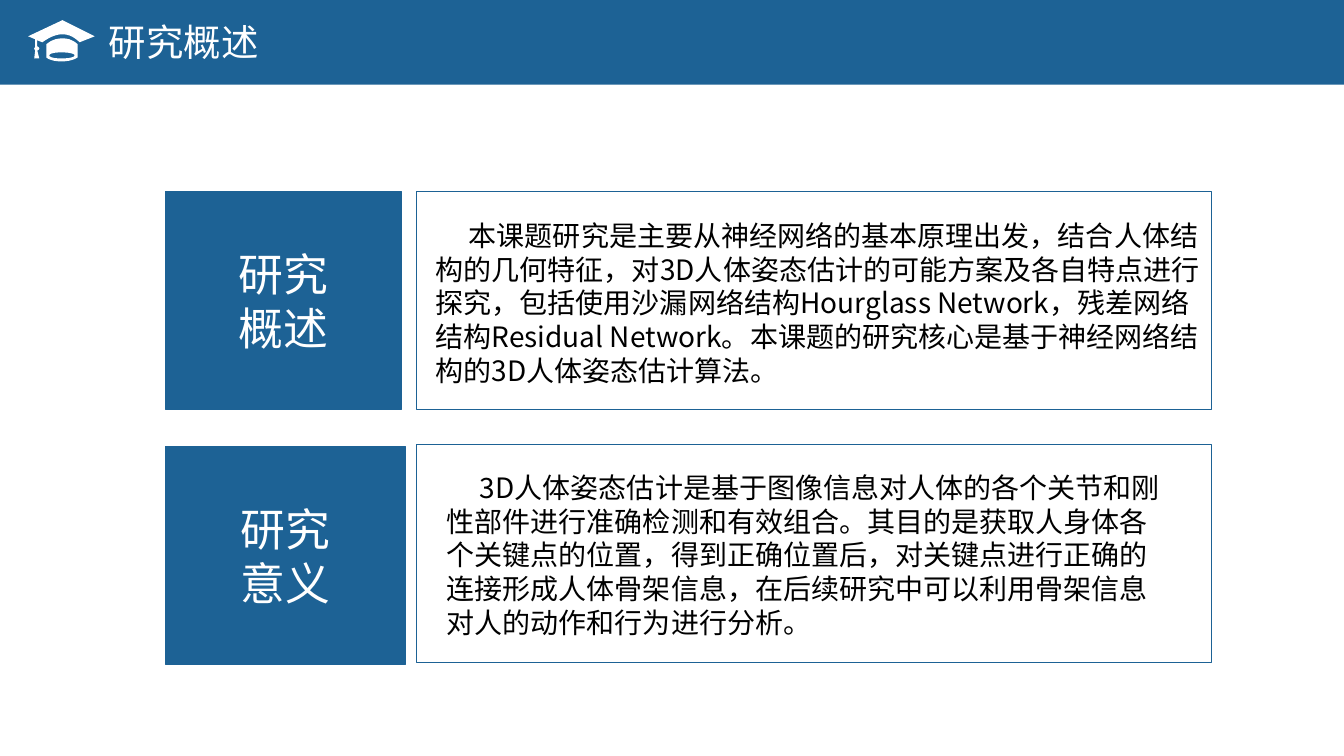
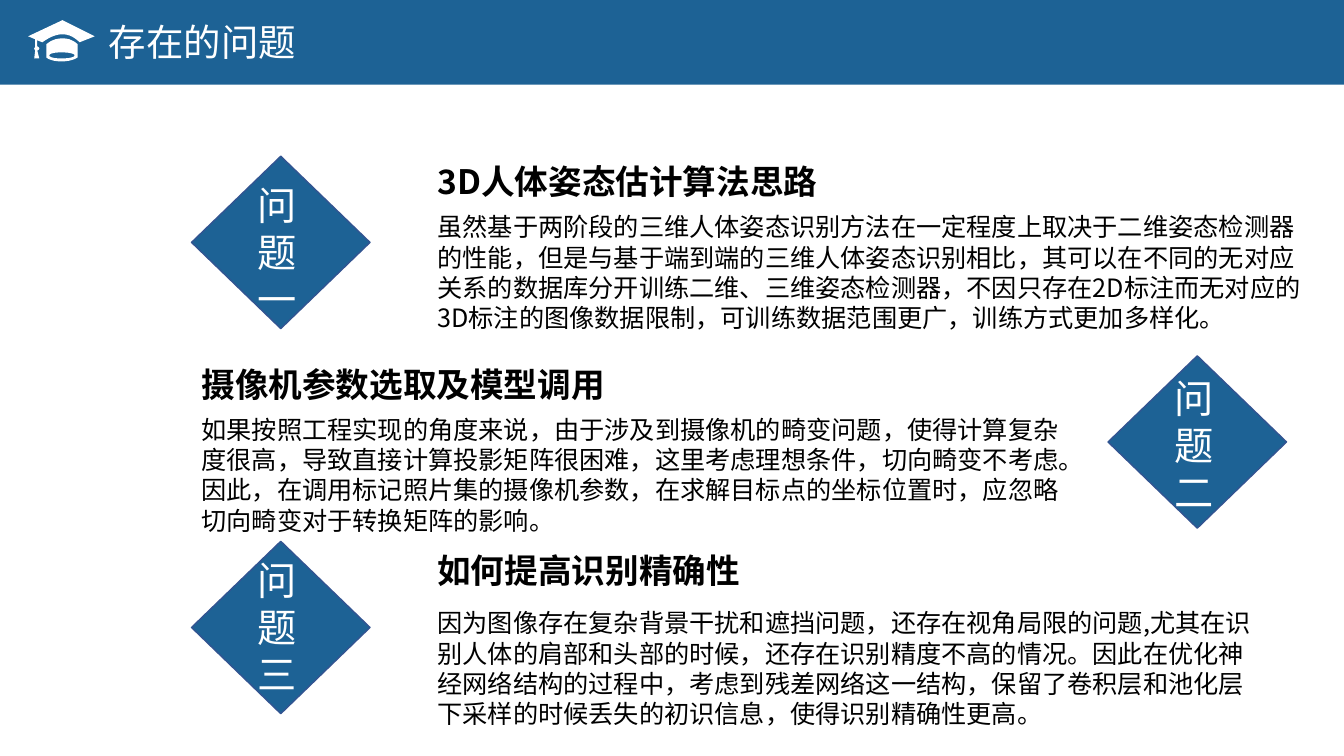
from lxml import etree
from pptx import Presentation
from pptx.dml.color import RGBColor
from pptx.enum.shapes import MSO_SHAPE as Preset
from pptx.enum.text import MSO_ANCHOR as Anchor, MSO_AUTO_SIZE as AutoSize, PP_ALIGN as Align
from pptx.oxml.ns import qn
from pptx.util import Inches, Pt

CELL = Inches(0.1)
COLUMNS, ROWS = 133.3, 75
BLUE, EDGE, WHITE, BLACK = "1D6295", "325491", "FFFFFF", "000000"
FONT = "Noto Sans CJK SC"
LINE_HEIGHT = 1.2
TWO_CONTENT, TITLE_ONLY = 3, 5

CAP_UNIT = Inches(0.001)
CAP_OUTLINES = [
    [(790, 420), (790, 420, 720, 340, 620, 340), (520, 340, 420, 420, 420, 420),
     (370, 400), (370, 460), (370, 460, 390, 470, 390, 480),
     (390, 490, 380, 500, 370, 500), (390, 580), (340, 580), (350, 500),
     (350, 500, 340, 490, 340, 480), (340, 480, 350, 470, 350, 460),
     (350, 390), (280, 360), (620, 200), (940, 360)],
    [(620, 380), (720, 380, 770, 440, 770, 440), (770, 570),
     (770, 570, 720, 610, 610, 610), (500, 610, 460, 570, 460, 570),
     (460, 440), (460, 440, 520, 380, 620, 380)],
    [(610, 580), (680, 580, 740, 570, 740, 550), (740, 530, 680, 520, 610, 520),
     (540, 520, 490, 530, 490, 550), (490, 570, 540, 580, 610, 580)],
]

PANELS = [
    dict(tile=(16.4, 19, 23.4, 21.6), frame=(41.3, 19, 78.9, 21.6),
         body=(42.2, 21.2, 78, 22.9), name="研究\n概述",
         text="本课题研究是主要从神经网络的基本原理出发，结合人体结构的几何特征，"
              "对3D人体姿态估计的可能方案及各自特点进行探究，包括使用沙漏网络结构"
              "Hourglass Network，残差网络结构Residual Network。"
              "本课题的研究核心是基于神经网络结构的3D人体姿态估计算法。"),
    dict(tile=(16.4, 44.3, 23.8, 21.6), frame=(41.3, 44.1, 78.9, 21.6),
         body=(43.3, 46.2, 73.9, 17.8), name="研究\n意义",
         text="3D人体姿态估计是基于图像信息对人体的各个关节和刚性部件进行准确检测和有效组合。"
              "其目的是获取人身体各个关键点的位置，得到正确位置后，对关键点进行正确的连接"
              "形成人体骨架信息，在后续研究中可以利用骨架信息对人的动作和行为进行分析。"),
]

PROBLEMS = [
    dict(diamond=(19, 15.5), label_row=17.5, label="问题 一",
         heading=(42.4, 15.5), title="3D人体姿态估计算法思路", body_row=20.5, width=88.7,
         text="虽然基于两阶段的三维人体姿态识别方法在一定程度上取决于二维姿态检测器的性能，"
              "但是与基于端到端的三维人体姿态识别相比，其可以在不同的无对应关系的数据库"
              "分开训练二维、三维姿态检测器，不因只存在2D标注而无对应的3D标注的图像数据限制，"
              "可训练数据范围更广，训练方式更加多样化。"),
    dict(diamond=(109.9, 35.3), label_row=36.6, label="问题 二",
         heading=(19, 35.6), title="摄像机参数选取及模型调用", body_row=40.6, width=87.7,
         text="如果按照工程实现的角度来说，由于涉及到摄像机的畸变问题，使得计算复杂度很高，"
              "导致直接计算投影矩阵很困难，这里考虑理想条件，切向畸变不考虑。"
              "因此，在调用标记照片集的摄像机参数，在求解目标点的坐标位置时，"
              "应忽略切向畸变对于转换矩阵的影响。"),
    dict(diamond=(19, 53.7), label_row=54.7, label="问题 三",
         heading=(42.4, 54.1), title="如何提高识别精确性", body_row=59.8, width=83.7,
         text="因为图像存在复杂背景干扰和遮挡问题，还存在视角局限的问题,"
              "尤其在识别人体的肩部和头部的时候，还存在识别精度不高的情况。"
              "因此在优化神经网络结构的过程中，考虑到残差网络这一结构，"
              "保留了卷积层和池化层下采样的时候丢失的初识信息，使得识别精确性更高。"),
]


def color(value):
    return RGBColor.from_string(value)


def cells(*counts):
    return [round(count * CELL) for count in counts]


def flatten(outline, steps=8):
    points = [outline[0]]
    for part in outline[1:]:
        if len(part) == 2:
            points.append(part)
            continue
        controls = [points[-1], part[:2], part[2:4], part[4:]]
        for step in range(1, steps + 1):
            t = step / steps
            weights = ((1 - t) ** 3, 3 * t * (1 - t) ** 2, 3 * t ** 2 * (1 - t), t ** 3)
            points.append(tuple(sum(weight * control[axis]
                                    for weight, control in zip(weights, controls))
                                for axis in (0, 1)))
    return points


class Deck:
    """Holds the shared style and the slide being built."""

    def __init__(self):
        self.presentation = Presentation()
        self.presentation.slide_width, self.presentation.slide_height = cells(COLUMNS, ROWS)
        self.slide = None

    def start(self, title, layout):
        self.slide = self.presentation.slides.add_slide(self.presentation.slide_layouts[layout])
        heading = self.slide.shapes.title
        band = self.box(Preset.RECTANGLE, (0, 0, COLUMNS, 8.4), fill=BLUE)
        heading.element.addprevious(band.element)
        self.place(heading, (9.8, 1.4, 42.2, 5.5))
        self.set_text(heading, title, 26.7, WHITE)
        self.cap()

    def place(self, shape, area):
        shape.left, shape.top, shape.width, shape.height = cells(*area)

    def paint(self, shape, fill=None, line=None, weight=0.75):
        shape.shadow.inherit = False
        if fill:
            shape.fill.solid()
            shape.fill.fore_color.rgb = color(fill)
        else:
            shape.fill.background()
        if line:
            shape.line.color.rgb = color(line)
            shape.line.width = Pt(weight)
        else:
            shape.line.fill.background()

    def box(self, preset, area, **style):
        shape = self.slide.shapes.add_shape(preset, *cells(*area))
        self.paint(shape, **style)
        return shape

    def cap(self):
        first, *others = [flatten(outline) for outline in CAP_OUTLINES]
        builder = self.slide.shapes.build_freeform(*first[0], scale=CAP_UNIT)
        builder.add_line_segments(first[1:])
        for points in others:
            builder.move_to(*points[0])
            builder.add_line_segments(points[1:])
        self.paint(builder.convert_to_shape(), fill=WHITE)

    def set_text(self, shape, text, size, ink=BLACK, bold=False, align=Align.LEFT,
                 anchor=Anchor.TOP, wrap=True):
        frame = shape.text_frame
        frame.text = text
        frame.auto_size = AutoSize.NONE
        frame.word_wrap = wrap
        frame.vertical_anchor = anchor
        for paragraph in frame.paragraphs:
            paragraph.alignment = align
            paragraph.line_spacing = Pt(size * LINE_HEIGHT)
            paragraph.space_before = Pt(0)
            for run in paragraph.runs:
                run.font.name = FONT
                run.font.size = Pt(size)
                run.font.bold = bold
                run.font.color.rgb = color(ink)
                properties = run._r.get_or_add_rPr()
                etree.SubElement(properties, qn("a:ea")).set("typeface", FONT)

    def text(self, area, text, size, **style):
        self.set_text(self.slide.shapes.add_textbox(*cells(*area)), text, size, **style)

    def tile(self, area, text):
        shape = self.box(Preset.RECTANGLE, area, fill=BLUE, line=BLUE)
        self.set_text(shape, text, 32, WHITE, align=Align.CENTER, anchor=Anchor.MIDDLE, wrap=False)

    def body(self, index, area, text):
        shape = self.slide.placeholders[index]
        self.place(shape, area)
        self.set_text(shape, text, 20)
        for paragraph in shape.text_frame.paragraphs:
            paragraph.space_after = Pt(12)
            properties = paragraph._p.get_or_add_pPr()
            properties.set("marL", "0")
            properties.set("indent", str(cells(3.3)[0]))
            etree.SubElement(properties, qn("a:buNone"))

    def panel(self, index, tile, frame, body, name, text):
        self.tile(tile, name)
        self.box(Preset.RECTANGLE, frame, line=BLUE)
        self.body(index, body, text)

    def problem(self, diamond, label_row, label, heading, title, body_row, width, text):
        self.box(Preset.DIAMOND, (*diamond, 17.7, 17.1), fill=BLUE, line=EDGE, weight=1)
        self.text((diamond[0] + 5.6, label_row, 6.4, 15.1), label, 28, ink=WHITE)
        self.text((heading[0], body_row, width, 13.1), text, 18)
        self.text((*heading, 42.4, 5), title, 24, bold=True)


def main():
    deck = Deck()
    deck.start("研究概述", TWO_CONTENT)
    for index, panel in enumerate(PANELS, 1):
        deck.panel(index, **panel)
    deck.start("存在的问题", TITLE_ONLY)
    for problem in PROBLEMS:
        deck.problem(**problem)
    deck.presentation.save("out.pptx")


if __name__ == "__main__":
    main()
